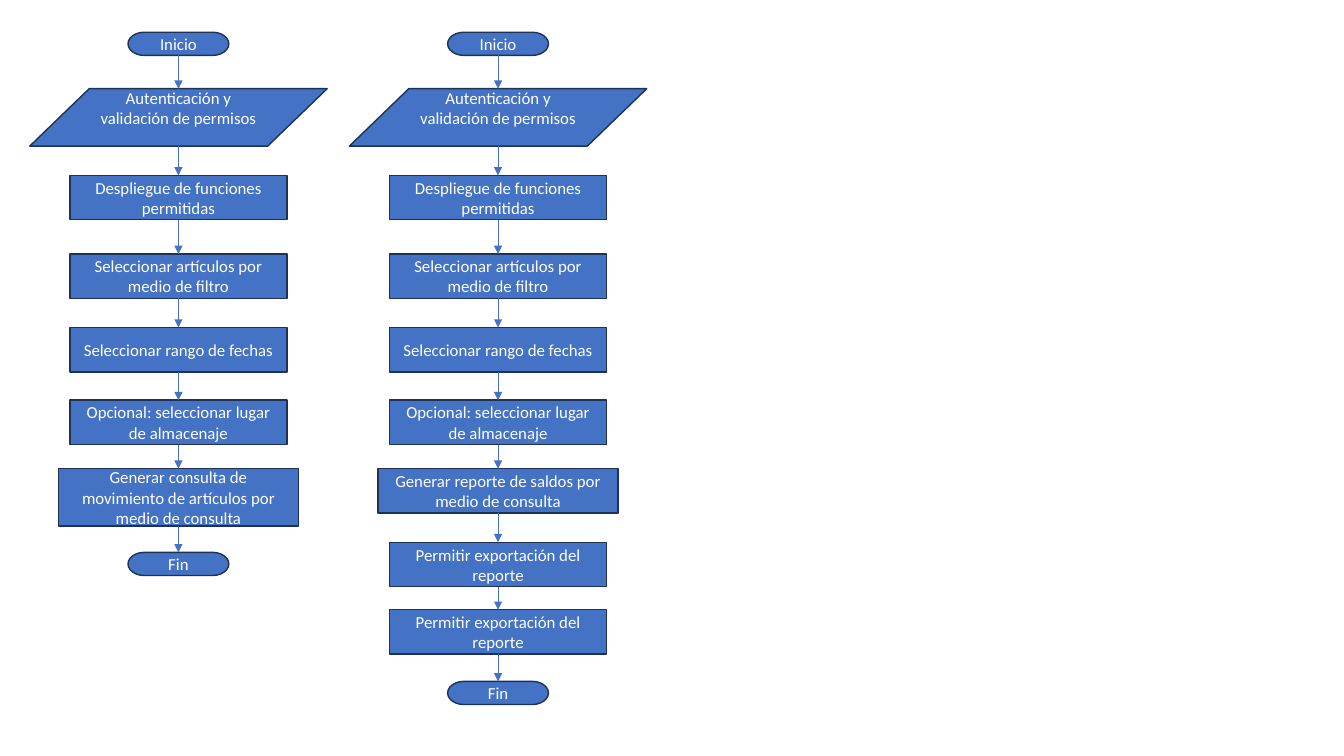
from lxml import etree
from pptx import Presentation
from pptx.dml.color import RGBColor
from pptx.enum import shapes, text
from pptx.oxml import ns
from pptx.util import Inches, Pt

COLORS = {"fill": "4472C4", "outline": "1E3256", "text": "FFFFFF"}
KINDS = {
    "terminal": (shapes.MSO_SHAPE.FLOWCHART_TERMINATOR, 1, 0.23),
    "input": (shapes.MSO_SHAPE.FLOWCHART_DATA, 2.95, 0.57),
    "process": (shapes.MSO_SHAPE.FLOWCHART_PROCESS, 2.15, 0.44),
    "report": (shapes.MSO_SHAPE.FLOWCHART_PROCESS, 2.38, 0.44),
    "query": (shapes.MSO_SHAPE.FLOWCHART_PROCESS, 2.38, 0.57),
}
SHARED_STEPS = [
    ("terminal", 0.32, "Inicio"),
    ("input", 0.88, "Autenticación y validación de permisos"),
    ("process", 1.74, "Despliegue de funciones permitidas"),
    ("process", 2.52, "Seleccionar artículos por medio de filtro"),
    ("process", 3.25, "Seleccionar rango de fechas"),
    ("process", 3.97, "Opcional: seleccionar lugar de almacenaje"),
]
QUERY_STEPS = [
    ("query", 4.65, "Generar consulta de movimiento de artículos por medio de consulta"),
    ("terminal", 5.48, "Fin"),
]
REPORT_STEPS = [
    ("report", 4.65, "Generar reporte de saldos por medio de consulta"),
    ("process", 5.38, "Permitir exportación del reporte"),
    ("process", 6.05, "Permitir exportación del reporte"),
    ("terminal", 6.76, "Fin"),
]


def color(name):
    return RGBColor.from_string(COLORS[name])


def add_step(page, kind, center, top, label):
    preset, width, height = KINDS[kind]
    box = page.shapes.add_shape(
        preset, Inches(center - width / 2), Inches(top), Inches(width), Inches(height)
    )
    box.shadow.inherit = False
    box.fill.solid()
    box.fill.fore_color.rgb = color("fill")
    box.line.color.rgb = color("outline")
    box.line.width = Pt(1)
    frame = box.text_frame
    frame.word_wrap = True
    frame.vertical_anchor = text.MSO_ANCHOR.MIDDLE
    if kind == "input":
        frame.margin_top = 0
        frame.margin_bottom = Inches(0.19)
    frame.text = label
    para = frame.paragraphs[0]
    para.alignment = text.PP_ALIGN.CENTER
    font = para.runs[0].font
    font.name = "Calibri"
    font.size = Pt(12)
    font.color.rgb = color("text")
    return box


def add_arrow(page, center, upper, lower):
    arrow = page.shapes.add_connector(
        shapes.MSO_CONNECTOR.STRAIGHT,
        Inches(center), upper.top + upper.height, Inches(center), lower.top,
    )
    arrow.line.color.rgb = color("fill")
    arrow.line.width = Pt(0.5)
    etree.SubElement(arrow.line._get_or_add_ln(), ns.qn("a:tailEnd"), type="triangle")
    etree.SubElement(arrow._element.spPr, ns.qn("a:effectLst"))


def add_flow(page, center, steps):
    boxes = [add_step(page, kind, center, top, label) for kind, top, label in steps]
    for upper, lower in zip(boxes, boxes[1:]):
        add_arrow(page, center, upper, lower)


def main():
    deck = Presentation()
    deck.slide_width = Inches(13.33)
    deck.slide_height = Inches(7.5)
    page = deck.slides.add_slide(deck.slide_layouts[6])
    add_flow(page, 1.77, SHARED_STEPS + QUERY_STEPS)
    add_flow(page, 4.94, SHARED_STEPS + REPORT_STEPS)
    deck.save("out.pptx")


if __name__ == "__main__":
    main()
